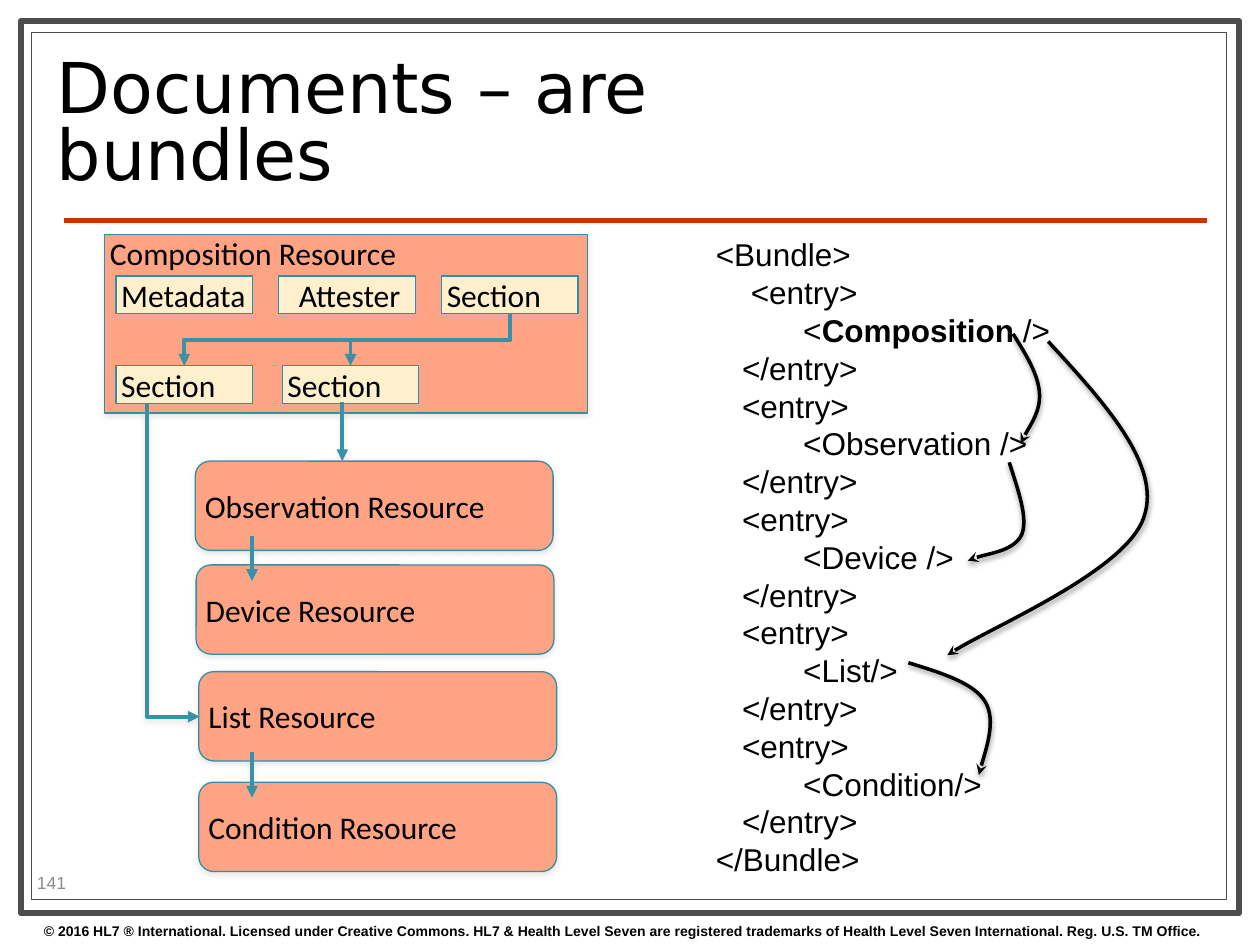
from lxml import etree
from pptx import Presentation
from pptx.dml.color import RGBColor
from pptx.enum.shapes import MSO_CONNECTOR, MSO_SHAPE
from pptx.enum.text import MSO_ANCHOR, MSO_AUTO_SIZE, PP_ALIGN
from pptx.oxml.ns import qn
from pptx.util import Pt

RECT, ROUNDED = MSO_SHAPE.RECTANGLE, MSO_SHAPE.ROUNDED_RECTANGLE
STRAIGHT, ELBOW = MSO_CONNECTOR.STRAIGHT, MSO_CONNECTOR.ELBOW
LEFT, CENTER = PP_ALIGN.LEFT, PP_ALIGN.CENTER
TOP, MIDDLE = MSO_ANCHOR.TOP, MSO_ANCHOR.MIDDLE
NO_FIT = MSO_AUTO_SIZE.NONE

BLACK, WHITE, FRAME, RULE = "000000", "FFFFFF", "4D4D4D", "CC3300"
SALMON, CREAM, OUTLINE, TEAL, SILVER = "FFA385", "FEF0CD", "338FA5", "3891A7", "C0C0C0"

BUNDLE = """<Bundle>
    <entry>
          <**Composition** />
   </entry>
   <entry>
          <Observation />
   </entry>
   <entry>
          <Device />
   </entry>
   <entry>
          <List/>
   </entry>
   <entry>
          <Condition/>
   </entry>
</Bundle>"""

# Start point, then two control points and an end point per curve segment
REFERENCES = [
    [(176.9, 59.8), (184.1, 71.3), (191.3, 82.8), (192, 93.6),
     (192.7, 103.7), (183.4, 117.4), (181.2, 122.4)],
    [(197, 64.1), (229.4, 99.4), (261.8, 134.7), (251.8, 164.2),
     (242.4, 194.4), (157.4, 230.4), (139.4, 243.4)],
    [(117.1, 247.7), (135.8, 253.5), (154.6, 259.2), (161, 270),
     (167.5, 280.8), (158.2, 307.5), (157.4, 311.8)],
    [(174.7, 133.2), (179.8, 149.1), (185.5, 164.9), (181.9, 174.3),
     (177.6, 183.6), (156, 186.5), (151, 189.4)],
]


def color(value):
    return RGBColor.from_string(value)


def points(*values):
    return [Pt(value) for value in values]


def write(shape, text, size=18, font="Calibri", fill=BLACK, bold=False, align=LEFT,
          anchor=TOP, insets=None, wrap=True, spacing=None):
    """Fill a shape with text; ** switches bold on and off."""
    frame = shape.text_frame
    frame.word_wrap, frame.vertical_anchor, frame.auto_size = wrap, anchor, NO_FIT
    if insets:
        (frame.margin_left, frame.margin_top,
         frame.margin_right, frame.margin_bottom) = points(*insets)
    for index, line in enumerate(text.split("\n")):
        para = frame.add_paragraph() if index else frame.paragraphs[0]
        para.alignment, para.line_spacing = align, spacing
        for part, words in enumerate(line.split("**")):
            span = para.add_run()
            span.text = words
            span.font.size, span.font.name = Pt(size), font
            span.font.bold = bold or part % 2 == 1
            span.font.color.rgb = color(fill)


def set_effect(shape, shadow=None, opacity=38):
    """Replace the theme shadow by the given one, or by none."""
    properties = shape.element.spPr
    effects = properties.find(qn("a:effectLst"))
    if effects is None:
        effects = etree.SubElement(properties, qn("a:effectLst"))
    if shadow:
        outer = etree.SubElement(effects, qn("a:outerShdw"), blurRad=str(Pt(3)),
                                 dist=str(Pt(1.7)), dir="5400000", rotWithShape="0")
        tint = etree.SubElement(outer, qn("a:srgbClr"), val=shadow)
        etree.SubElement(tint, qn("a:alpha"), val=str(opacity * 1000))


def set_line(shape, stroke, width, head=None):
    shape.line.color.rgb = color(stroke)
    shape.line.width = Pt(width)
    if head:
        etree.SubElement(shape.line._get_or_add_ln(), qn("a:tailEnd"), type=head)


def add_panel(page, box, fill, stroke, width, kind=RECT, shadow=None):
    panel = page.shapes.add_shape(kind, *points(*box))
    panel.fill.solid()
    panel.fill.fore_color.rgb = color(fill)
    set_line(panel, stroke, width)
    set_effect(panel, shadow, 35)
    return panel


def add_label(page, box, text, fill, kind=RECT, **text_format):
    label = add_panel(page, box, fill, OUTLINE, 0.75, kind, SILVER)
    write(label, text, insets=(3, 0, 0, 0), **text_format)


def add_note(page, box, text, **text_format):
    write(page.shapes.add_textbox(*points(*box)), text, **text_format)


def add_line(page, start, end, stroke=TEAL, width=2.25, head="triangle", shadow=SILVER):
    line = page.shapes.add_connector(STRAIGHT, *points(*start, *end))
    set_line(line, stroke, width, head)
    set_effect(line, shadow)


def add_elbow(page, start, end):
    """Elbow that goes down, across and down: a quarter turn of the default one."""
    middle_x, middle_y = (start[0] + end[0]) / 2, (start[1] + end[1]) / 2
    half_drop, half_run = (end[1] - start[1]) / 2, (start[0] - end[0]) / 2
    elbow = page.shapes.add_connector(ELBOW, *points(
        middle_x - half_drop, middle_y - half_run,
        middle_x + half_drop, middle_y + half_run))
    elbow.element.spPr.find(qn("a:xfrm")).set("rot", "5400000")
    set_line(elbow, TEAL, 2.25, "triangle")
    set_effect(elbow)


def add_path(page, route, stroke, width, head, shadow, curved=False):
    first, *rest = [points(*spot) for spot in route]
    builder = page.shapes.build_freeform(*first)
    builder.add_line_segments(rest, close=False)
    path = builder.convert_to_shape()
    if curved:
        steps = list(path.element.iter(qn("a:lnTo")))
        for index in range(0, len(steps), 3):
            curve = etree.Element(qn("a:cubicBezTo"))
            steps[index].addprevious(curve)
            for step in steps[index:index + 3]:
                curve.append(step[0])
                step.getparent().remove(step)
    path.fill.background()
    set_line(path, stroke, width, head)
    set_effect(path, shadow)


def build_frame(page, box):
    left, top, width, height = box
    add_panel(page, box, WHITE, FRAME, 3.5)
    add_panel(page, (left + 6, top + 6.5, width - 13, height - 14.5), WHITE, FRAME, 0.75)
    add_line(page, (left + 24.5, 126), (left + 677.5, 126), RULE, 3, None, None)
    add_note(page, (left + 6, top + height + 1.5, 702, 17),
             "© 2016 HL7 ® International. Licensed under Creative Commons. "
             "HL7 & Health Level Seven are registered trademarks of "
             "Health Level Seven International. Reg. U.S. TM Office.",
             size=8, font="Arial", bold=True)
    add_note(page, (left + 2, top + height - 26, 57, 17), "141", size=10,
             font="Arial", fill="8C8C8C", anchor=MIDDLE)


def build_title(page, box):
    title = page.shapes.title
    title.left, title.top, title.width, title.height = points(*box)
    title.element.getparent().append(title.element)  # in front of the frame
    write(title, "Documents – are bundles", size=40, font="DejaVu Sans",
          anchor=MIDDLE, spacing=0.8)


def build_composition(page, box):
    left, top = box[:2]
    chip_width, chip_height, pitch = 78, 21.6, 93
    first, upper, lower = left + 6.5, top + 23.7, top + 75
    add_label(page, box, "Composition Resource", SALMON)
    # Parts of the composition
    chips = [(first, upper, "Metadata", LEFT), (first + pitch, upper, "Attester", CENTER),
             (first + 2 * pitch, upper, "Section", LEFT),
             (first, lower, "Section", LEFT), (first + 95, lower, "Section", LEFT)]
    for x, y, text, align in chips:
        add_label(page, (x, y, chip_width, chip_height), text, CREAM, align=align)
    # Section to its subsections
    start = (first + 2 * pitch + chip_width / 2, upper + chip_height)
    for x in (first, first + 95):
        add_elbow(page, start, (x + chip_width / 2, lower))


def build_resources(page, box):
    left, top, width, height = box
    resources = [("Observation", 0, 0), ("Device", 0.5, 59.3),
                 ("List", 2, 120.3), ("Condition", 2, 183.5)]
    for name, shift, drop in resources:
        add_label(page, (left + shift, top + drop, width, height), f"{name} Resource",
                  SALMON, ROUNDED, anchor=MIDDLE)
    # Sections to resources
    add_path(page, [(left - 27.5, top - 33), (left - 27.5, top + 146), (left + 2.5, top + 146)],
             TEAL, 2.25, "triangle", SILVER)
    add_line(page, (left + 84, top - 33.5), (left + 84, top))
    # Resource to resource
    for drop in (42.5, 166.3):
        add_line(page, (left + 32.4, top + drop), (left + 32.4, top + drop + 26))


def build_bundle(page, box):
    left, top = box[:2]
    add_note(page, box, BUNDLE, font="Arial", wrap=False)
    for route in REFERENCES:
        add_path(page, [(left + x, top + y) for x, y in route],
                 BLACK, 2, "stealth", BLACK, curved=True)


def main():
    deck = Presentation()
    deck.slide_width, deck.slide_height = points(720, 540)
    page = deck.slides.add_slide(deck.slide_layouts[5])
    build_frame(page, (12, 12, 696, 510))
    build_title(page, (25.2, 26, 516, 93))
    build_composition(page, (59.8, 134, 276, 102))
    build_resources(page, (111.6, 263.5, 204.5, 51))
    build_bundle(page, (402, 131, 207.5, 378))
    deck.save("out.pptx")


if __name__ == "__main__":
    main()
